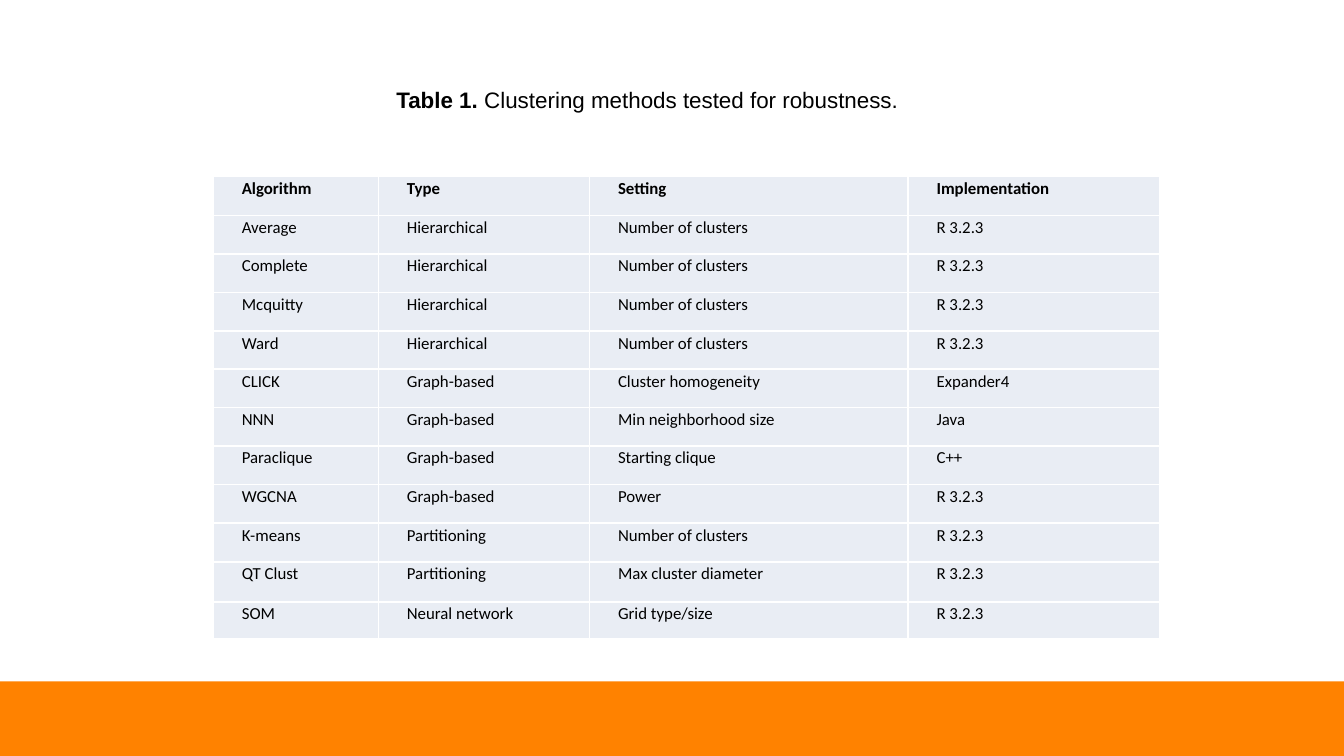
from lxml.etree import SubElement
from pptx import Presentation
from pptx.dml.color import RGBColor
from pptx.enum.shapes import MSO_SHAPE
from pptx.enum.text import MSO_ANCHOR, MSO_AUTO_SIZE, PP_ALIGN
from pptx.oxml.ns import qn
from pptx.util import Cm, Pt

WIDTH, HEIGHT = 25.4, 14.29
FOOTER_TOP = 12.88
COLUMNS = [3.12, 3.99, 6.02, 4.75]
ROWS = [0.73] * 4 + [0.72] * 2 + [0.73] * 4 + [0.76, 0.69]
METHODS = [
    ("Algorithm", "Type", "Setting", "Implementation"),
    ("Average", "Hierarchical", "Number of clusters", "R 3.2.3"),
    ("Complete", "Hierarchical", "Number of clusters", "R 3.2.3"),
    ("Mcquitty", "Hierarchical", "Number of clusters", "R 3.2.3"),
    ("Ward", "Hierarchical", "Number of clusters", "R 3.2.3"),
    ("CLICK", "Graph-based", "Cluster homogeneity", "Expander4"),
    ("NNN", "Graph-based", "Min neighborhood size", "Java"),
    ("Paraclique", "Graph-based", "Starting clique", "C++"),
    ("WGCNA", "Graph-based", "Power", "R 3.2.3"),
    ("K-means", "Partitioning", "Number of clusters", "R 3.2.3"),
    ("QT Clust", "Partitioning", "Max cluster diameter", "R 3.2.3"),
    ("SOM", "Neural network", "Grid type/size", "R 3.2.3"),
]


def rgb(value):
    return RGBColor.from_string(value)


def apply(target, values):
    """Set every attribute named in a dict of format values."""
    for name, value in values.items():
        setattr(target, name, value)


class Deck:
    caption_font = {"name": "Arial", "size": Pt(12)}
    cell_font = {"name": "Calibri", "size": Pt(9)}
    cell_format = {"margin_left": Cm(0.13), "margin_right": Cm(0.13),
                   "margin_top": 0, "margin_bottom": 0}
    cell_paragraph = {"alignment": PP_ALIGN.JUSTIFY, "line_spacing": Pt(12)}
    first_line = Cm(0.41)
    text, band, cell_fill, border = "000000", "FF8200", "E9EDF4", "FFFFFF"

    def __init__(self, prs):
        self.s = prs.slides.add_slide(prs.slide_layouts[6])

    def bar(self, left, top, width, height):
        sp = self.s.shapes.add_shape(
            MSO_SHAPE.RECTANGLE, Cm(left), Cm(top), Cm(width), Cm(height))
        sp.shadow.inherit = False
        sp.fill.solid()
        sp.fill.fore_color.rgb = rgb(self.band)
        sp.line.fill.background()

    def run(self, p, text, font, bold):
        r = p.add_run()
        r.text = text
        apply(r.font, {**font, "bold": bold})
        r.font.color.rgb = rgb(self.text)

    def caption(self, left, top, width, height, label, text):
        tf = self.s.shapes.add_textbox(
            Cm(left), Cm(top), Cm(width), Cm(height)).text_frame
        apply(tf, {"word_wrap": True, "vertical_anchor": MSO_ANCHOR.MIDDLE,
                   "auto_size": MSO_AUTO_SIZE.SHAPE_TO_FIT_TEXT})
        p = tf.paragraphs[0]
        self.run(p, label, self.caption_font, True)
        self.run(p, text, self.caption_font, False)

    def borders(self, cell):
        tc_pr = cell._tc.get_or_add_tcPr()
        for side in ("a:lnL", "a:lnR", "a:lnT", "a:lnB"):
            ln = SubElement(tc_pr, qn(side), w=str(Pt(1)))
            fill = SubElement(ln, qn("a:solidFill"))
            SubElement(fill, qn("a:srgbClr"), val=self.border)

    def cell(self, cell, text, bold):
        self.borders(cell)
        cell.fill.solid()
        cell.fill.fore_color.rgb = rgb(self.cell_fill)
        apply(cell, self.cell_format)
        p = cell.text_frame.paragraphs[0]
        apply(p, self.cell_paragraph)
        p._p.get_or_add_pPr().set("indent", str(self.first_line))
        self.run(p, text, self.cell_font, bold)

    def table(self, left, top, columns, rows, data):
        table = self.s.shapes.add_table(
            len(rows), len(columns), Cm(left), Cm(top),
            Cm(sum(columns)), Cm(sum(rows))).table
        for column, width in zip(table.columns, columns):
            column.width = Cm(width)
        for i, (row, height, texts) in enumerate(zip(table.rows, rows, data)):
            row.height = Cm(height)
            for cell, text in zip(row.cells, texts):
                self.cell(cell, text, i == 0)


def main():
    prs = Presentation()
    apply(prs, {"slide_width": Cm(WIDTH), "slide_height": Cm(HEIGHT)})
    deck = Deck(prs)
    deck.bar(0, FOOTER_TOP, WIDTH, HEIGHT - FOOTER_TOP)
    deck.table(4.03, 3.34, COLUMNS, ROWS, METHODS)
    deck.caption(7.24, 1.5, 10.57, 0.77,
                 "Table 1.", " Clustering methods tested for robustness.")
    prs.save("out.pptx")


if __name__ == "__main__":
    main()
